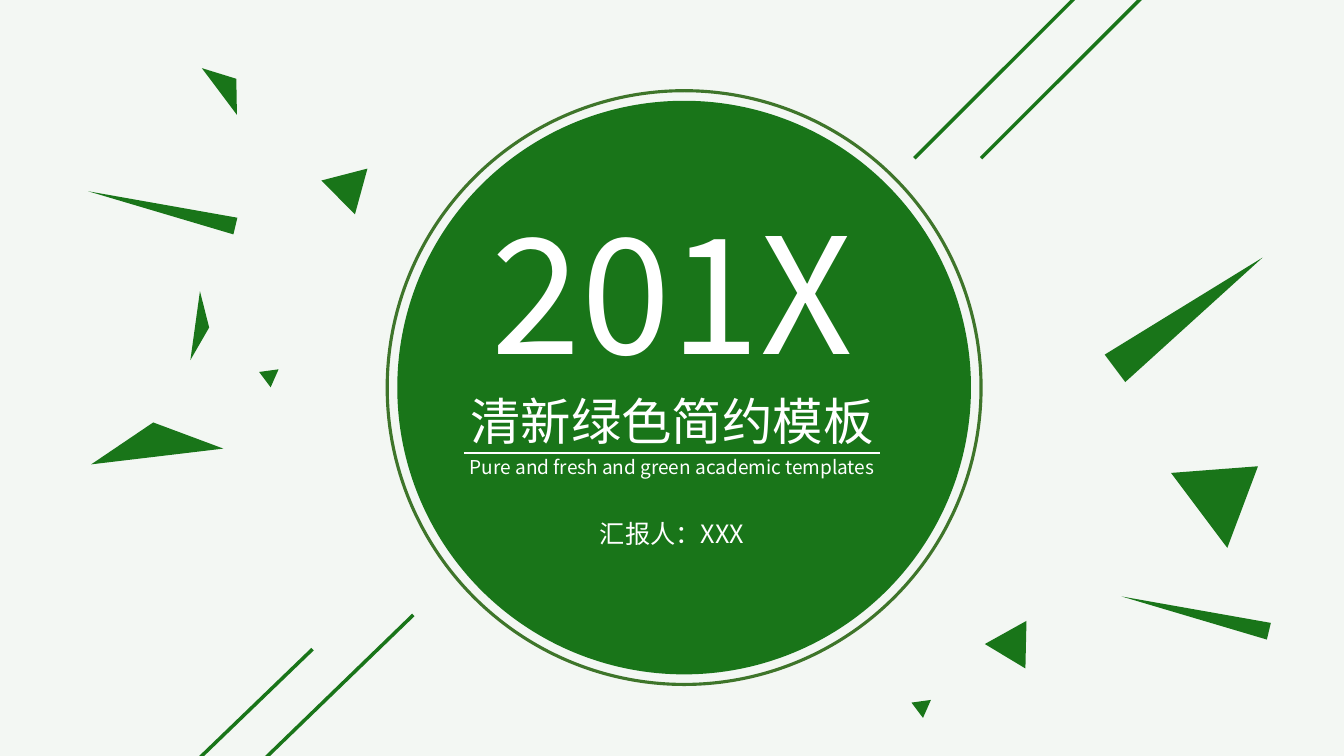
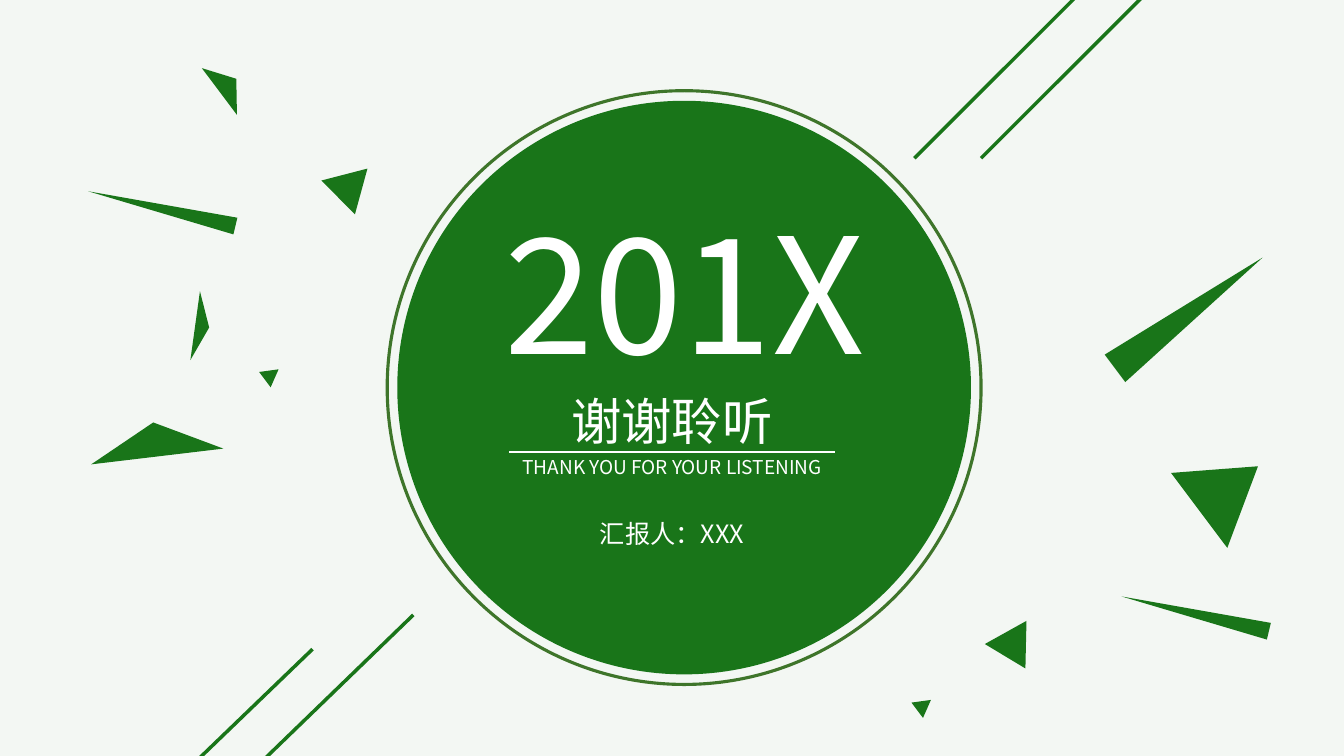
import pptx
import pptx.util
import pptx.dml.color
import pptx.enum.shapes
import pptx.enum.text
import pptx.oxml.ns
import pptx.oxml.xmlchemy

WIDTH, HEIGHT = 13.33, 7.5
GREEN, RING, PAPER, WHITE = "197519", "3E752A", "F3F7F3", "FFFFFF"
FONT = "Noto Sans CJK SC"
SHAPE = pptx.enum.shapes.MSO_SHAPE
inch = pptx.util.Inches
element = pptx.oxml.xmlchemy.OxmlElement

LEFT_CLUSTER = (0.88, 0.74)
LEFT_SHARDS = [
    (0, 3.45, 1.32, 0.34, 353.2),
    (1.72, 2.89, 0.19, 0.17, 53.1),
    (0.64, 0.58, 0.17, 1.5, 283.3),
    (2.27, 0.9, 0.47, 0.41, 285.3),
    (0.78, 2.43, 0.69, 0.14, 97.9),
    (1.09, 0, 0.58, 0.21, 53.1),
]
RIGHT_CLUSTER = (9.07, 2.19)
RIGHT_SHARDS = [
    (2.65, 2.29, 0.93, 0.73, 53.1),
    (0.77, 3.94, 0.47, 0.41, 31.1),
    (2.55, 0, 0.34, 1.83, 53.1),
    (0, 4.72, 0.19, 0.17, 53.1),
    (2.7, 3.15, 0.17, 1.5, 283.3),
]
STRIPES = [
    (12.62, -1.32, 9.73, 1.57),
    (11.49, -0.85, 9.07, 1.57),
    (4.1, 6.1, 1.29, 8.82),
    (3.1, 6.44, 0.63, 8.82),
]
BADGE = (3.84, 0.9, 5.89)


def color(value):
    return pptx.dml.color.RGBColor.from_string(value)


def add_preset(shapes, kind, box, fill=None, line=None, rotation=0):
    sp = shapes.add_shape(kind, *map(inch, box))
    sp.shadow.inherit = False
    sp.rotation = rotation
    if fill:
        sp.fill.solid()
        sp.fill.fore_color.rgb = color(fill)
    else:
        sp.fill.background()
    if line:
        sp.line.color.rgb = color(line)
        sp.line.width = pptx.util.Pt(2.25)
    else:
        sp.line.fill.background()


def add_line(slide, ends, stroke, width):
    straight = pptx.enum.shapes.MSO_CONNECTOR.STRAIGHT
    cxn = slide.shapes.add_connector(straight, *map(inch, ends))
    cxn.line.color.rgb = color(stroke)
    cxn.line.width = pptx.util.Pt(width)
    cxn._element.spPr.append(element("a:effectLst"))


def add_text(slide, box, text, size):
    tf = slide.shapes.add_textbox(*map(inch, box)).text_frame
    tf.word_wrap = True
    tf.auto_size = pptx.enum.text.MSO_AUTO_SIZE.SHAPE_TO_FIT_TEXT
    tf.margin_left = tf.margin_right = 0
    p = tf.paragraphs[0]
    p.text = text
    p.alignment = pptx.enum.text.PP_ALIGN.CENTER
    r = p.runs[0]
    r.font.size = pptx.util.Pt(size)
    r.font.name = FONT
    r.font.color.rgb = color(WHITE)
    ea = element("a:ea")
    ea.set("typeface", FONT)
    r.font._element.find(pptx.oxml.ns.qn("a:latin")).addnext(ea)


def add_shards(slide, origin, shards):
    left, top = origin
    for x, y, w, h, rotation in shards:
        add_preset(slide.shapes, SHAPE.ISOSCELES_TRIANGLE,
                   (left + x, top + y, w, h), GREEN, rotation=rotation)


def add_badge(slide, box, heading, caption, rule_width, rule_drop, year_shift):
    left, top, size = box
    gap = 0.1
    disc = size - 2 * gap
    grp = slide.shapes.add_group_shape()
    add_preset(grp.shapes, SHAPE.OVAL, (left + gap, top + gap, disc, disc), GREEN)
    add_preset(grp.shapes, SHAPE.OVAL, (left, top, size, size), line=RING)

    middle = WIDTH / 2
    rows = [
        ("201X", 115, 0.97, 4.12, 2.04, year_shift),
        (heading, 36, 2.92, 4.2, 0.71, 0),
        (caption, 13.6, 3.57, 4.5, 0.34, 0),
        ("汇报人：XXX", 18, 4.19, 2.12, 0.4, 0),
    ]
    for text, points, drop, w, h, shift in rows:
        add_text(slide, (middle - w / 2 + shift, top + drop, w, h), text, points)
    y = top + rule_drop
    add_line(slide, (middle - rule_width / 2, y, middle + rule_width / 2, y), WHITE, 1.5)


def add_cover(prs, **badge):
    slide = prs.slides.add_slide(prs.slide_layouts[6])
    slide.background.fill.solid()
    slide.background.fill.fore_color.rgb = color(PAPER)
    add_shards(slide, LEFT_CLUSTER, LEFT_SHARDS)
    add_shards(slide, RIGHT_CLUSTER, RIGHT_SHARDS)
    for ends in STRIPES:
        add_line(slide, ends, GREEN, 2.5)
    add_badge(slide, BADGE, **badge)


prs = pptx.Presentation()
prs.slide_width, prs.slide_height = inch(WIDTH), inch(HEIGHT)
add_cover(prs, heading="清新绿色简约模板",
          caption="Pure and fresh and green academic templates",
          rule_width=4.13, rule_drop=3.59, year_shift=0)
add_cover(prs, heading="谢谢聆听", caption="THANK YOU FOR YOUR LISTENING",
          rule_width=3.23, rule_drop=3.58, year_shift=0.12)
prs.save("out.pptx")
